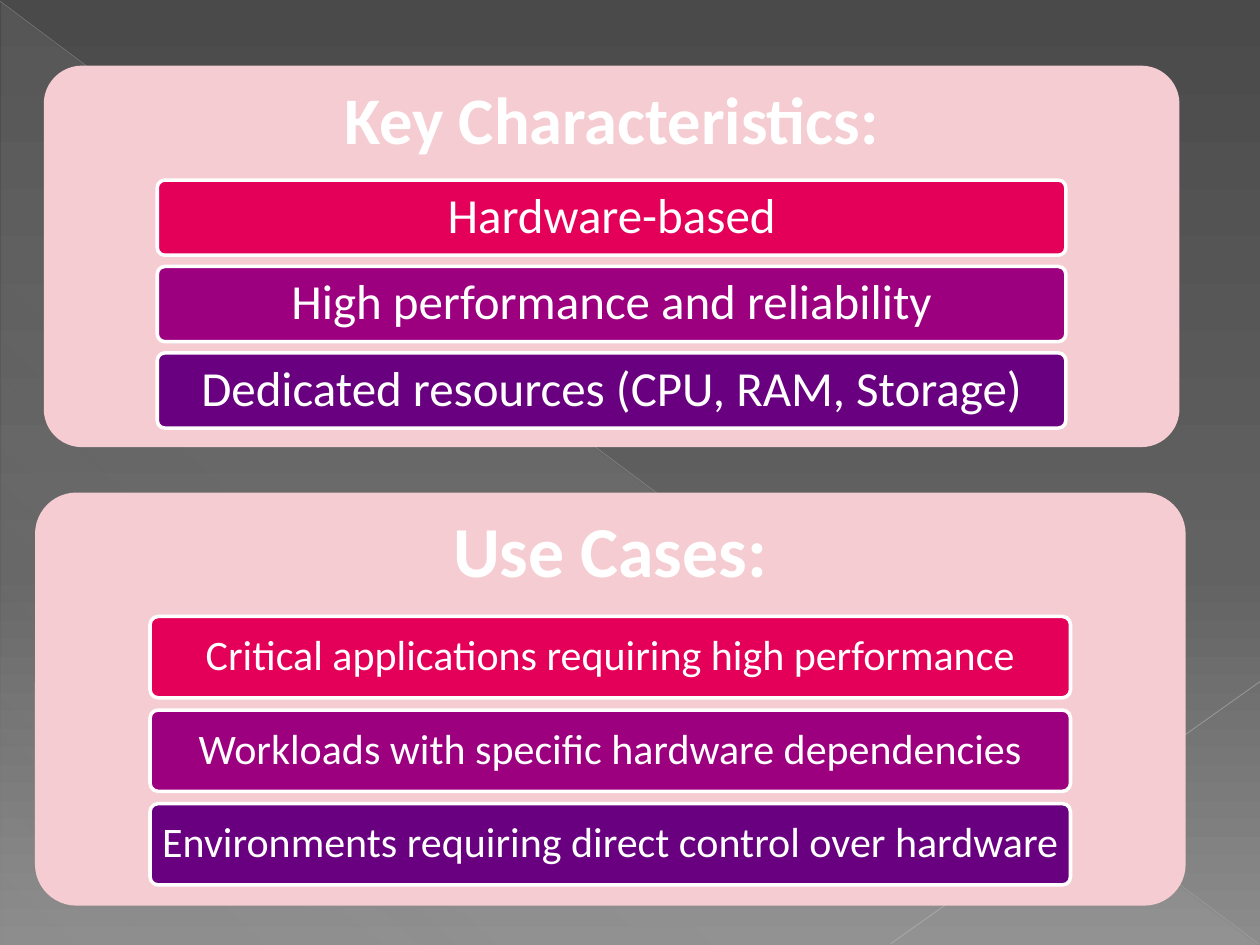
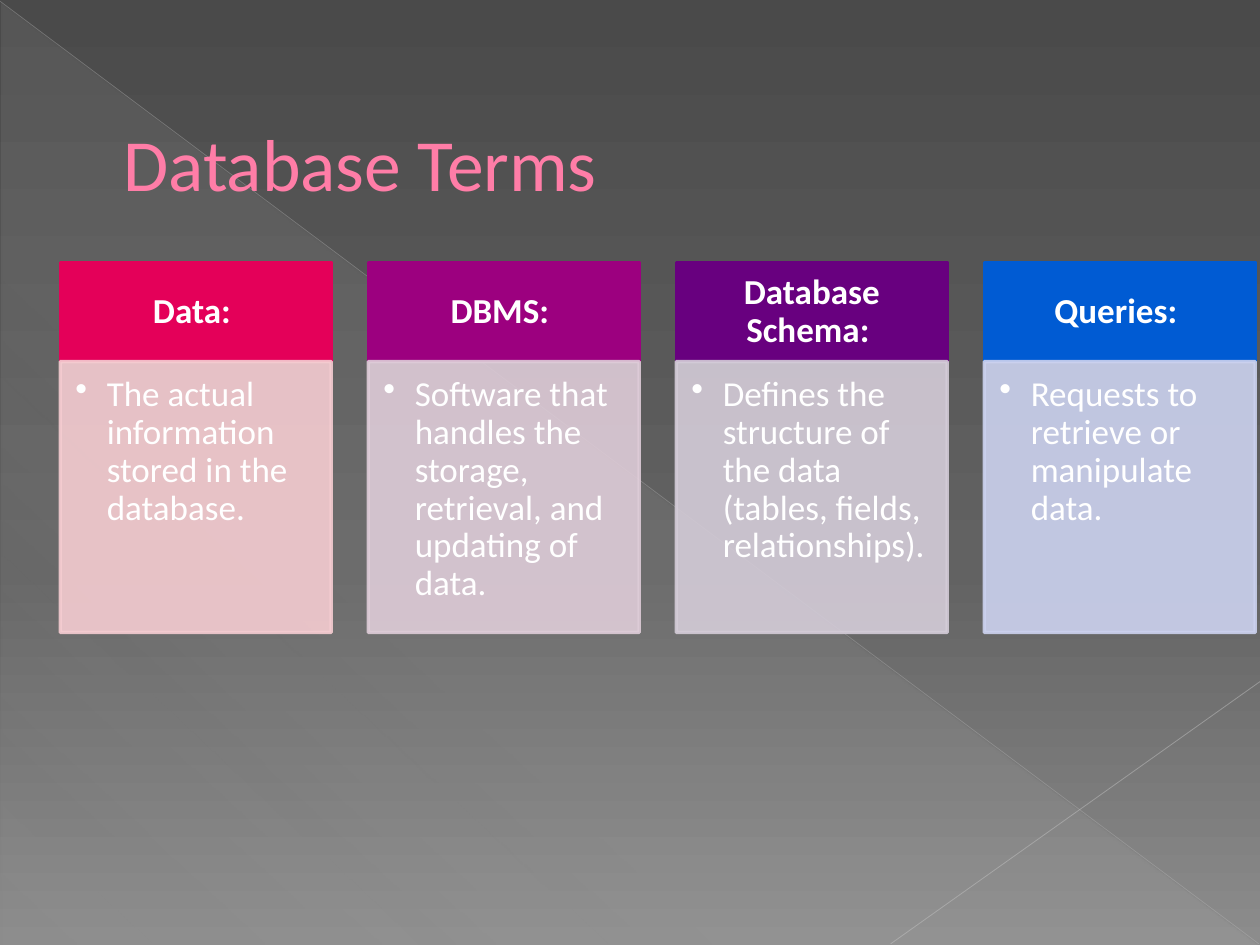
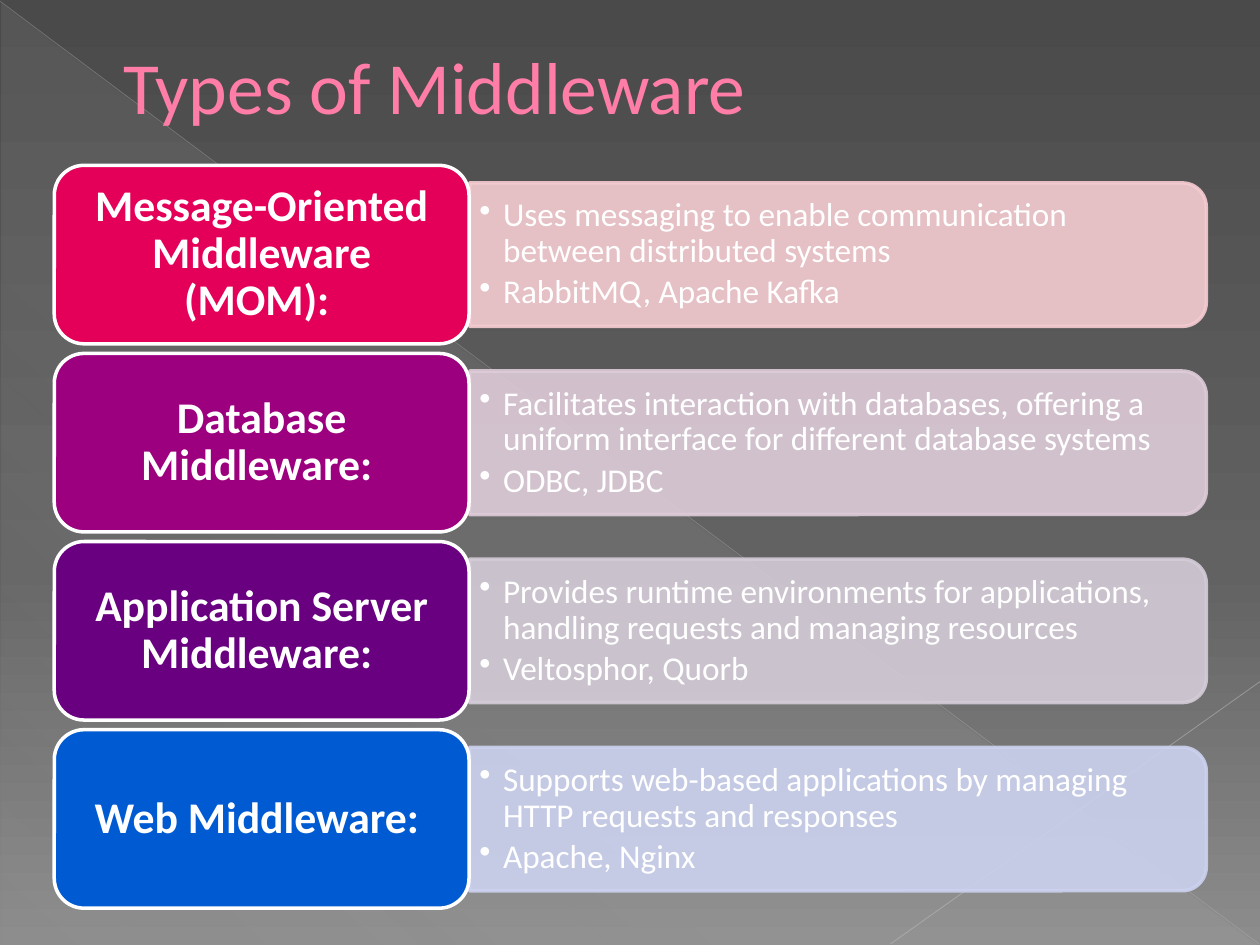
"""Build three dark slides on servers, database terms and middleware."""
import pptx
import pptx.util
import pptx.dml.color
import pptx.enum.shapes
import pptx.enum.text
import pptx.oxml.ns
import lxml.etree

Pt = pptx.util.Pt
RGB = pptx.dml.color.RGBColor
KIND = pptx.enum.shapes.MSO_SHAPE
ALIGN = pptx.enum.text.PP_ALIGN
ANCHOR = pptx.enum.text.MSO_ANCHOR
qn = pptx.oxml.ns.qn

FONT = "Calibri"
WHITE = RGB(0xFF, 0xFF, 0xFF)
PINK = RGB(0xFF, 0x7D, 0xA7)
ROSE = RGB(0xF5, 0xCC, 0xD1)
HAZE = RGB(0xD2, 0xD2, 0xD2)
BRIGHT = [RGB(0xE4, 0x00, 0x59), RGB(0x9C, 0x00, 0x7F),
          RGB(0x68, 0x00, 0x7F), RGB(0x00, 0x5B, 0xD3)]
PALE = [ROSE, RGB(0xDE, 0xCC, 0xD8), RGB(0xD4, 0xCC, 0xD8), RGB(0xCC, 0xD2, 0xEF)]
NIGHT = [(0, RGB(0x4A, 0x4A, 0x4A), 100), (60, RGB(0x62, 0x62, 0x62), 100),
         (100, RGB(0x8C, 0x8C, 0x8C), 100)]
SHEEN = [(0, HAZE, 10), (70, HAZE, 8), (100, HAZE, 1)]
RAYS = [((0, 0.7, 719.3, 539.3), RGB(0xBF, 0xBF, 0xBF), 0.39, 35),
        ((720, 389.5, 509, 539.3), RGB(0xC6, 0xC6, 0xC6), 0.47, 45)]


def draw(slide, kind, place, fill, edge=None):
    """Add a filled shape with an optional edge."""
    shape = slide.shapes.add_shape(kind, *map(Pt, place))
    shape.shadow.inherit = False
    shape.fill.solid()
    shape.fill.fore_color.rgb = fill
    if edge is None:
        shape.line.fill.background()
    else:
        shape.line.color.rgb = edge
        shape.line.width = Pt(2)
    return shape


def write(shape, lines, size, pad, bold=False, color=WHITE, align=ALIGN.CENTER,
          space=0.9, hang=0, anchor=ANCHOR.MIDDLE):
    """Fill a shape with lines of text, bulleted when hang is set."""
    frame = shape.text_frame
    frame.word_wrap = True
    frame.vertical_anchor = anchor
    (frame.margin_left, frame.margin_top,
     frame.margin_right, frame.margin_bottom) = map(Pt, pad)
    frame.text = "\n".join(lines)
    for para in frame.paragraphs:
        if hang:
            props = para._p.get_or_add_pPr()
            props.set("marL", str(Pt(hang)))
            props.set("indent", str(-Pt(hang)))
            lxml.etree.SubElement(props, qn("a:buChar")).set("char", "•")
            para.space_after = Pt(3)
        para.alignment = align
        para.line_spacing = space
        for run in para.runs:
            run.font.name = FONT
            run.font.size = Pt(size)
            run.font.bold = bold
            run.font.color.rgb = color


deck = pptx.Presentation()
deck.slide_width, deck.slide_height = Pt(720), Pt(540)
master = deck.slide_master
slides = [deck.slides.add_slide(deck.slide_layouts[6]) for _ in range(3)]
first, second, third = slides
faint = []

wedge = draw(first, KIND.RIGHT_TRIANGLE, (0.7, 1.4, 718.6, 538.6), HAZE)
decor = [wedge]
for ends, color, width, share in RAYS:
    ray = first.shapes.add_connector(
        pptx.enum.shapes.MSO_CONNECTOR.STRAIGHT, *map(Pt, ends))
    ray.line.color.rgb = color
    ray.line.width = Pt(width)
    lxml.etree.SubElement(ray.element.spPr, qn("a:effectLst"))
    faint.append((ray, share))
    decor.append(ray)
for number, part in enumerate(decor, 101):
    part.element.xpath(".//p:cNvPr")[0].set("id", str(number))
    master.shapes.element.append(part.element)

for fill, root, stops, angle in [
        (master.background.fill, master.element.xpath("./p:cSld/p:bg")[0], NIGHT, 270),
        (wedge.fill, wedge.element, SHEEN, 227)]:
    fill.gradient()
    fill.gradient_angle = angle
    group = root.xpath(".//a:gsLst")[0]
    for old in list(group):
        group.remove(old)
    for spot, color, share in stops:
        stop = lxml.etree.SubElement(group, qn("a:gs"), pos=str(spot * 1000))
        tone = lxml.etree.SubElement(stop, qn("a:srgbClr"), val=str(color))
        if share < 100:
            lxml.etree.SubElement(tone, qn("a:alpha"), val=str(share * 1000))

PANELS = [
    ((25, 37.5, 649, 218), "Key Characteristics:", 38, 28,
     ["Hardware-based", "High performance and reliability",
      "Dedicated resources (CPU, RAM, Storage)"]),
    ((20, 281.5, 657.5, 236), "Use Cases:", 41, 24,
     ["Critical applications requiring high performance",
      "Workloads with specific hardware dependencies",
      "Environments requiring direct control over hardware"]),
]
for place, head, large, small, items in PANELS:
    left, top, width, height = place
    draw(first, KIND.ROUNDED_RECTANGLE, place, ROSE).adjustments[0] = 0.1
    label = first.shapes.add_textbox(*map(Pt, (left, top, width, 0.3 * height)))
    write(label, [head], large, (12, 12, 12, 12), bold=True)
    tall = 0.65 * height / 3.3
    for row, item in enumerate(items):
        spot = (left + 0.1 * width, top + 0.3 * height + row * 1.15 * tall,
                0.8 * width, tall)
        bar = draw(first, KIND.ROUNDED_RECTANGLE, spot, BRIGHT[row], WHITE)
        bar.adjustments[0] = 0.1
        write(bar, [item], small, (4.5, 4, 4.5, 4))

for slide, title, top, height in [(second, "Database Terms", 37.5, 110),
                                  (third, "Types of Middleware", 9.5, 78.5)]:
    label = slide.shapes.add_textbox(Pt(25), Pt(top), Pt(648), Pt(height))
    write(label, [title], 42, (45.5, 3.6, 7.2, 3.6), color=PINK,
          align=ALIGN.LEFT, space=1.0)

TERMS = [
    ("Data: ", "The actual information stored in the database."),
    ("DBMS: ", "Software that handles the storage, retrieval, and updating of data."),
    ("Database Schema: ",
     "Defines the structure of the data (tables, fields, relationships)."),
    ("Queries: ", "Requests to retrieve or manipulate data."),
]
side = 154.8
for col, (term, note) in enumerate(TERMS):
    left = 34.5 + col * 176
    head = draw(second, KIND.RECTANGLE, (left, 150, side, 56.6), BRIGHT[col], BRIGHT[col])
    write(head, [term], 20, (11.5, 6.5, 11.5, 6.5), bold=True)
    body = draw(second, KIND.RECTANGLE, (left, 206.6, side, side), PALE[col], PALE[col])
    write(body, [note], 20, (8.5, 8.5, 11.5, 12), align=ALIGN.LEFT, hang=18,
          anchor=ANCHOR.TOP)
    faint.append((body, 90))

TYPES = [
    ("Message-Oriented Middleware (MOM): ",
     ["Uses messaging to enable communication between distributed systems",
      "RabbitMQ, Apache Kafka"]),
    ("Database Middleware: ",
     ["Facilitates interaction with databases, offering a uniform interface "
      "for different database systems", "ODBC, JDBC"]),
    ("Application Server Middleware: ",
     ["Provides runtime environments for applications, handling requests "
      "and managing resources", "Veltosphor, Quorb"]),
    ("Web Middleware: ",
     ["Supports web-based applications by managing HTTP requests and responses",
      "Apache, Nginx"]),
]
thick, span = 82, 421
for row, (name, notes) in enumerate(TYPES):
    mid = 145.5 + row * 107.5
    strip = draw(third, KIND.ROUND_2_SAME_RECTANGLE,
                 (478.8 - thick / 2, mid - span / 2, thick, span), PALE[row], PALE[row])
    strip.rotation = 90
    faint.append((strip, 90))
    label = third.shapes.add_textbox(Pt(268), Pt(mid - 37), Pt(417), Pt(74))
    write(label, notes, 19, (6, 3, 6, 3), align=ALIGN.LEFT, hang=13.5)
    card = draw(third, KIND.ROUNDED_RECTANGLE, (31, mid - 51, 237, 102), BRIGHT[row], WHITE)
    write(card, [name], 25, (7, 3.6, 7, 3.6), bold=True)

for part, share in faint:
    for tone in part.element.xpath("./p:spPr//a:srgbClr"):
        lxml.etree.SubElement(tone, qn("a:alpha"), val=str(share * 1000))

deck.save("out.pptx")
